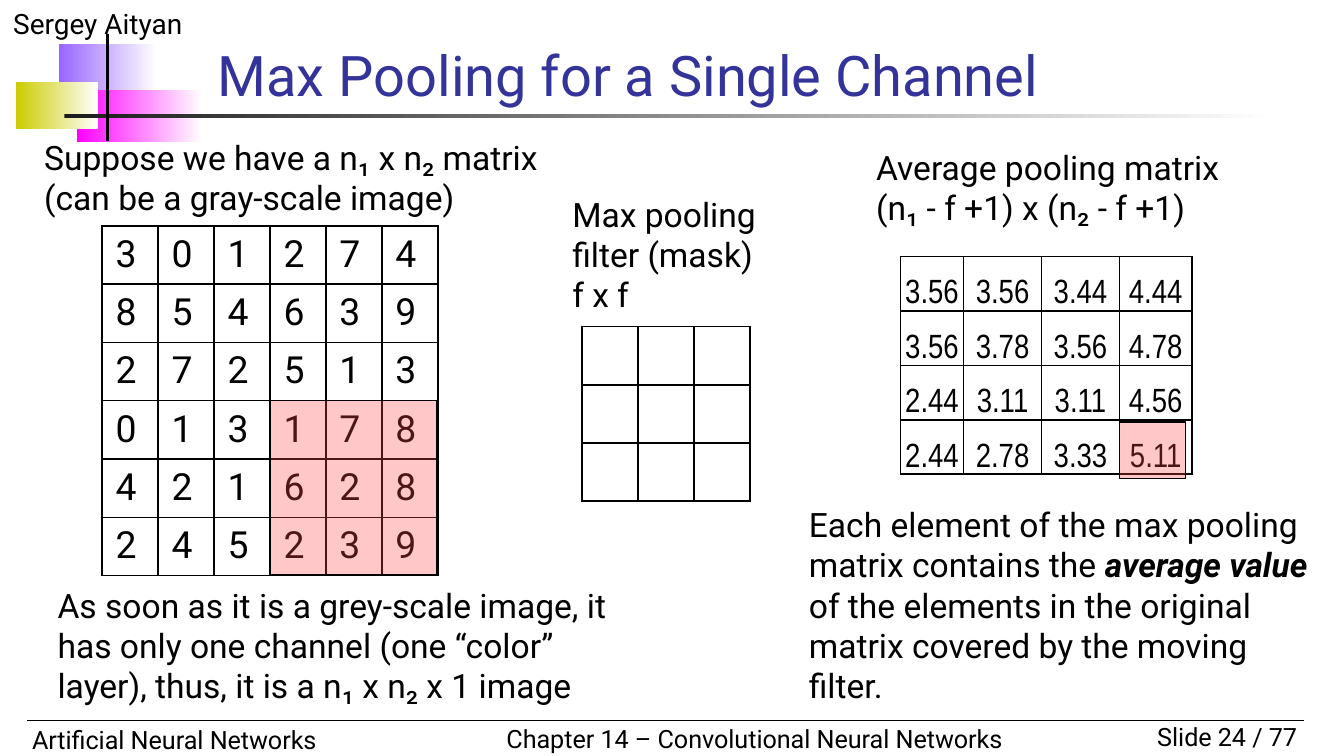
from lxml.etree import SubElement
from pptx import Presentation
from pptx.dml.color import RGBColor
from pptx.enum.shapes import MSO_CONNECTOR, MSO_SHAPE
from pptx.enum.text import MSO_ANCHOR, PP_ALIGN
from pptx.oxml import parse_xml
from pptx.oxml.ns import nsdecls, qn
from pptx.util import Inches, Pt

BLACK = RGBColor(0x00, 0x00, 0x00)
WHITE = RGBColor(0xFF, 0xFF, 0xFF)
TITLE_BLUE = RGBColor(0x33, 0x33, 0x99)
VIOLET = RGBColor(0x99, 0x66, 0xFF)
MAGENTA = RGBColor(0xFF, 0x00, 0xFF)
OLIVE = RGBColor(0xCC, 0xCC, 0x00)
CHARCOAL = RGBColor(0x1C, 0x1C, 0x1C)
HIGHLIGHT = RGBColor(0xFF, 0x47, 0x47)


class SlideBuilder:
    """Holds the text style and the slide being filled."""

    font = "Roboto"
    body_size = 18
    footer_size = 13.5

    def __init__(self, slide):
        self.slide = slide
        self.shapes = slide.shapes

    def style(self, paragraph, size, color=BLACK, font=None):
        for run in paragraph.runs:
            run.font.size = Pt(size)
            run.font.name = font or self.font
            run.font.color.rgb = color

    def title(self, text, left, top, width, height):
        title = self.shapes.title
        title.left, title.top = Inches(left), Inches(top)
        title.width, title.height = Inches(width), Inches(height)
        frame = title.text_frame
        frame.text = text
        frame.vertical_anchor = MSO_ANCHOR.BOTTOM
        frame.paragraphs[0].alignment = PP_ALIGN.LEFT
        self.style(frame.paragraphs[0], 30, TITLE_BLUE)

    def text(self, text, left, top, width, height, size=None,
             align=PP_ALIGN.LEFT, wrap=True):
        box = self.shapes.add_textbox(Inches(left), Inches(top), Inches(width), Inches(height))
        frame = box.text_frame
        frame.word_wrap = wrap
        frame.text = text
        paragraph = frame.paragraphs[0]
        paragraph.alignment = align
        self.style(paragraph, size or self.body_size)
        return paragraph

    def rectangle(self, left, top, width, height):
        rect = self.shapes.add_shape(MSO_SHAPE.RECTANGLE, Inches(left), Inches(top),
                                     Inches(width), Inches(height))
        rect.shadow.inherit = False
        return rect

    def fading_bar(self, color, left, top, width, height):
        bar = self.rectangle(left, top, width, height)
        bar.line.fill.background()
        bar.fill.gradient()
        bar.fill.gradient_angle = 0
        for stop, stop_color in zip(bar.fill.gradient_stops, (color, WHITE)):
            stop.color.rgb = stop_color

    def highlight(self, left, top, width, height):
        area = self.rectangle(left, top, width, height)
        area.fill.solid()
        area.fill.fore_color.rgb = HIGHLIGHT
        color = area._element.spPr.find(qn("a:solidFill"))[0]
        SubElement(color, qn("a:alpha"), val="30000")
        area.line.color.rgb = BLACK
        area.line.width = Pt(0.75)

    def line(self, x1, y1, x2, y2, weight):
        rule = self.shapes.add_connector(MSO_CONNECTOR.STRAIGHT, Inches(x1), Inches(y1),
                                         Inches(x2), Inches(y2))
        rule.line.color.rgb = BLACK
        rule.line.width = Pt(weight)
        SubElement(rule._element.spPr, qn("a:effectLst"))

    def border(self, cell):
        properties = cell._tc.get_or_add_tcPr()
        for position, side in enumerate("LRTB"):
            properties.insert(position, parse_xml(
                f'<a:ln{side} {nsdecls("a")} w="12700"><a:solidFill>'
                f'<a:srgbClr val="{BLACK}"/></a:solidFill></a:ln{side}>'))

    def matrix(self, rows, left, top, width, height, size=20, font=None,
               columns=None, compact=False):
        table = self.shapes.add_table(len(rows), len(rows[0]), Inches(left), Inches(top),
                                      Inches(width), Inches(height)).table
        table.first_row = table.horz_banding = False
        for column, column_width in zip(table.columns, columns or []):
            column.width = Inches(column_width)
        for r, values in enumerate(rows):
            for c, value in enumerate(values):
                cell = table.cell(r, c)
                cell.fill.background()
                self.border(cell)
                cell.text = value
                paragraph = cell.text_frame.paragraphs[0]
                self.style(paragraph, size, font=font)
                if compact:
                    cell.margin_left = cell.margin_right = 0
                    cell.margin_top = cell.margin_bottom = 0
                    cell.vertical_anchor = MSO_ANCHOR.BOTTOM
                    paragraph.alignment = PP_ALIGN.CENTER


# Widescreen page, 16 to 9
presentation = Presentation()
presentation.slide_width = Inches(10)
presentation.slide_height = Inches(10 * 9 / 16)
page = SlideBuilder(presentation.slides.add_slide(presentation.slide_layouts[5]))

# Corner decoration and title rule
page.fading_bar(VIOLET, 0.44, 0.33, 0.73, 0.39)
page.fading_bar(MAGENTA, 0.57, 0.67, 0.93, 0.39)
page.fading_bar(OLIVE, 0.12, 0.61, 0.61, 0.35)
page.fading_bar(CHARCOAL, 0.48, 0.85, 9, 0.03)

# Author and footer, with the rules in front
page.text("Sergey Aityan", 0, 0, 2.5, 0.35, 15)
page.text("Slide 24 / 77", 8.25, 5.32, 1.5, 0.33, page.footer_size, PP_ALIGN.RIGHT)
page.text("Artificial Neural Networks", 0.14, 5.34, 3.7, 0.33, page.footer_size)
page.text("Chapter 14 – Convolutional Neural Networks", 3.67, 5.33, 3.91, 0.33,
          page.footer_size, wrap=False)
page.line(0.2, 5.36, 9.7, 5.36, 0.75)
page.line(0.8, 0.25, 0.8, 1.05, 2)

# Title
page.title("Max Pooling for a Single Channel", 1.52, 0.31, 7.35, 0.54)

# Source image matrix
page.text("Suppose we have a n₁ x n₂ matrix (can be a gray-scale image)", 0.23, 0.97, 4.15, 0.71)
image_rows = ["301274", "854639", "272513", "013178", "421628", "245239"]
page.matrix(image_rows, 0.76, 1.68, 2.5, 2.6)
page.text("As soon as it is a grey-scale image, it has only one channel (one “color” layer), "
          "thus, it is a n₁ x n₂ x 1 image", 0.33, 4.3, 4.42, 1.01)

# Pooling filter
page.text("Max pooling filter (mask) f x f", 4.16, 1.39, 1.62, 1.01)
page.matrix([[""] * 3] * 3, 4.33, 2.43, 1.25, 1.3)

# Pooled matrix
page.text("Average pooling matrix \v(n₁ - f +1) x (n₂ - f +1)", 6.42, 1.04, 3.4, 0.71)
pooled_rows = [
    ["3.56", "3.56", "3.44", "4.44"],
    ["3.56", "3.78", "3.56", "4.78"],
    ["2.44", "3.11", "3.11", "4.56"],
    ["2.44", "2.78", "3.33", "5.11"],
]
page.matrix(pooled_rows, 6.7, 1.91, 2.18, 1.62, page.body_size, "Arial Narrow",
            [0.47, 0.58, 0.58, 0.54], compact=True)

# Filter window and the value it produces
page.highlight(2.01, 2.98, 1.24, 1.3)
page.highlight(8.33, 3.14, 0.49, 0.42)

# Explanation with the key phrase emphasised
explanation = page.text("Each element of the max pooling matrix contains the ",
                        5.92, 3.7, 3.92, 1.62)
key_phrase = explanation.add_run()
key_phrase.text = "average value"
explanation.add_run().text = (" of the elements in the original matrix covered by "
                              "the moving filter.")
page.style(explanation, page.body_size)
key_phrase.font.bold = key_phrase.font.italic = True

presentation.save("out.pptx")
